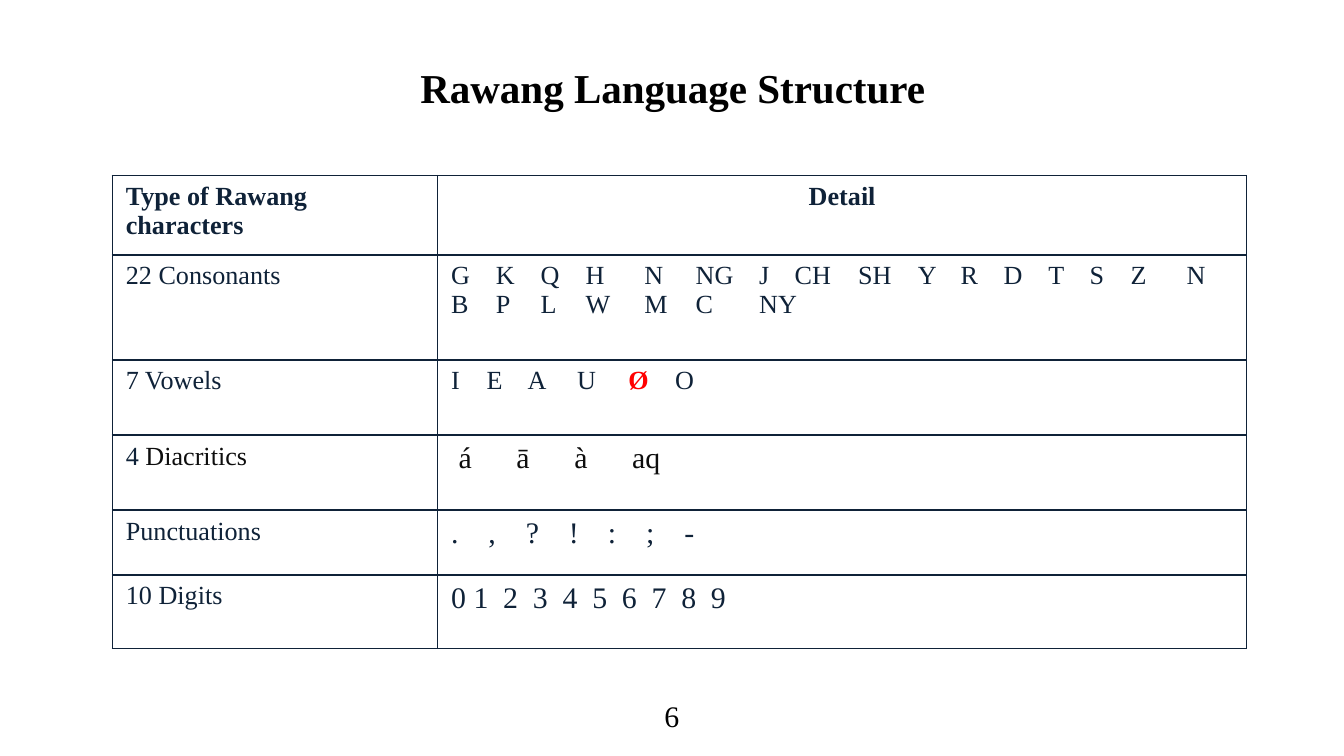
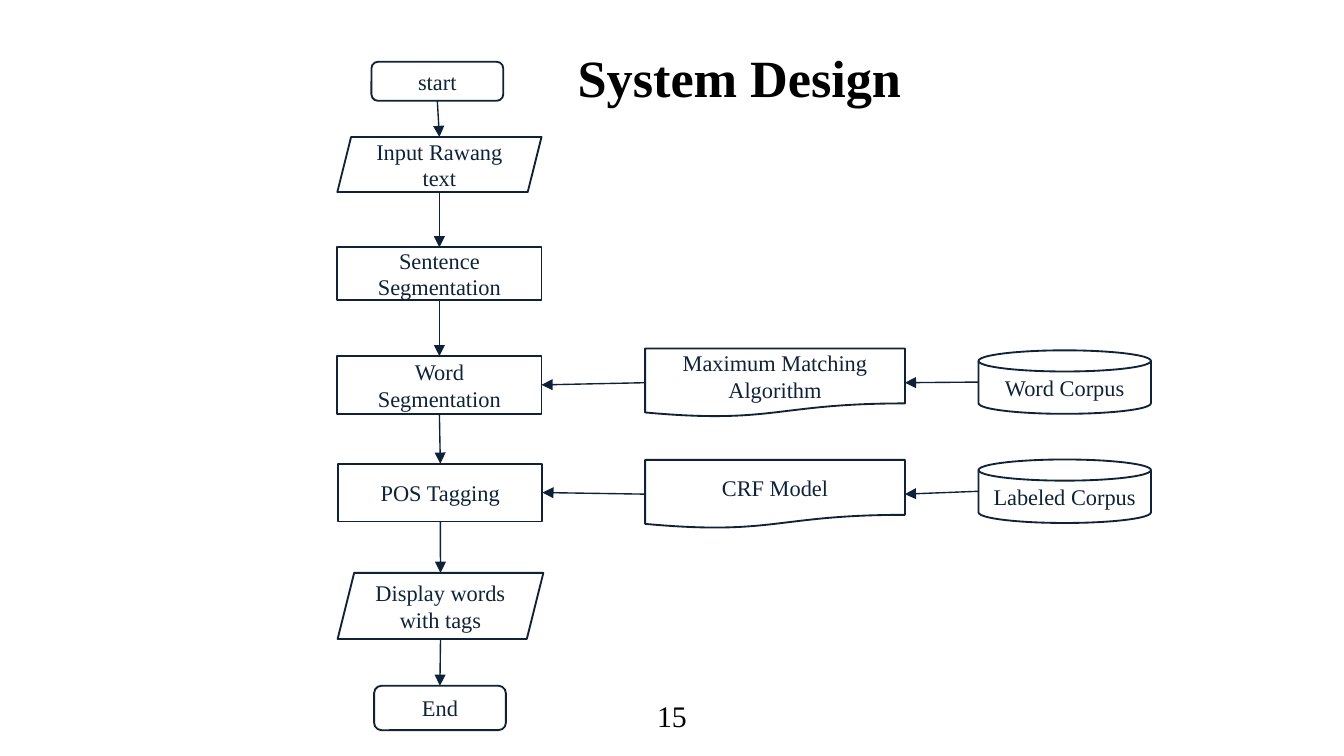
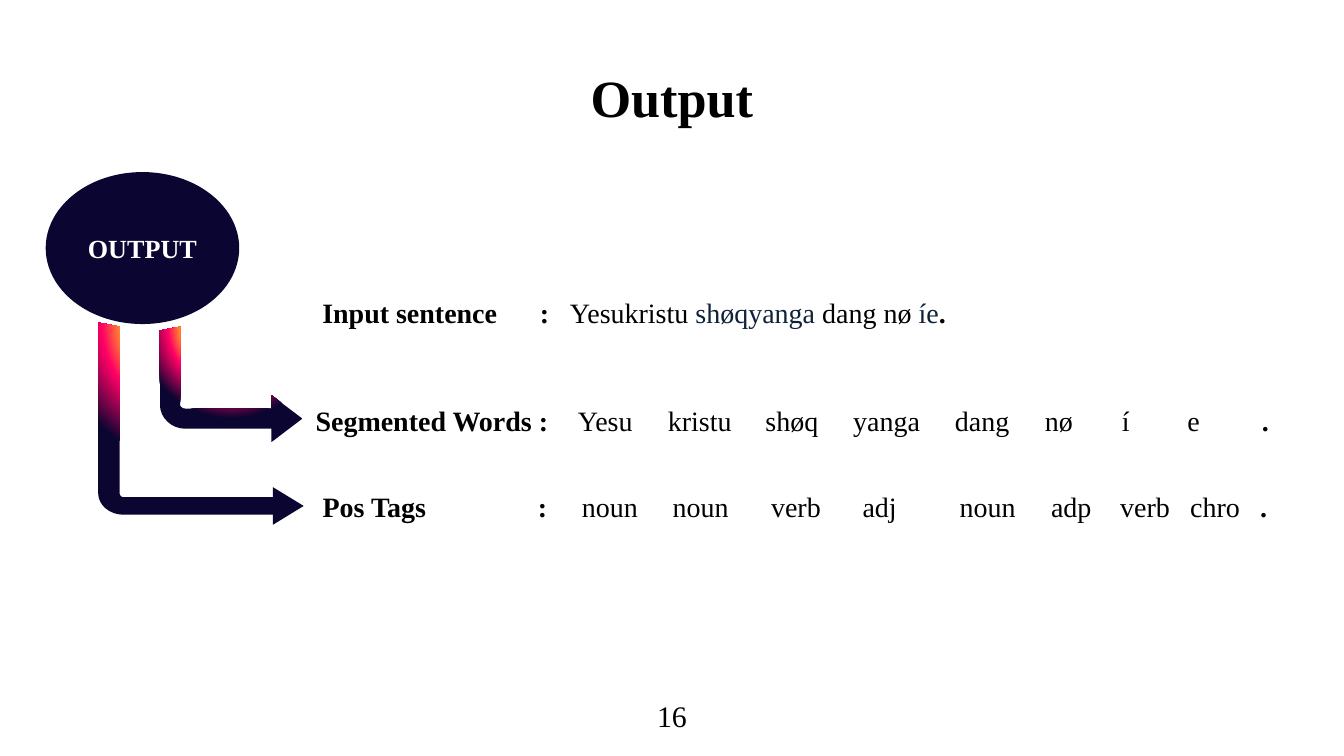
from dataclasses import dataclass
from itertools import pairwise
from math import cos, pi, sin

from lxml import etree
from pptx import Presentation
from pptx import util as u
from pptx.dml.color import RGBColor
from pptx.enum import shapes, text
from pptx.oxml.ns import qn


@dataclass(frozen=True)
class Theme:
    font: str = "Times New Roman"
    ink: str = "0F2238"
    arrow: str = "0E2138"
    black: str = "000000"
    soft_black: str = "0D0D0D"
    white: str = "FFFFFF"
    red: str = "FF0000"
    night: str = "0B0531"
    glow: tuple = ((18, "08A867"), (45, "FFFF00"), (69, "FF0066"), (100, "0B0531"))
    flow_size: int = 12
    body_size: int = 14
    sentence_size: int = 15
    large_size: int = 16
    title_size: int = 28


theme = Theme()
CENTER = text.PP_ALIGN.CENTER
JUSTIFY = text.PP_ALIGN.JUSTIFY
KIND = shapes.MSO_SHAPE


def write(frame, spans, size=theme.body_size, color=theme.ink, bold=False, align=None, tabs=()):
    """Fill the first paragraph; spans is a string or (text, changed format) pairs.

    A span of "\\v" is a line break; tabs are stops in points.
    """
    para = frame.paragraphs[0]
    para.alignment = align
    if tabs:
        stops = etree.SubElement(para._p.get_or_add_pPr(), qn("a:tabLst"))
        for stop in tabs:
            etree.SubElement(stops, qn("a:tab"), pos=str(u.Pt(stop)), algn="l")
    for content, changes in [(spans, {})] if isinstance(spans, str) else spans:
        if content == "\v":
            para.add_line_break()
            continue
        span = para.add_run()
        span.text = content
        span.font.name = theme.font
        span.font.size = u.Pt(size)
        span.font.bold = changes.get("bold", bold)
        span.font.color.rgb = RGBColor.from_string(changes.get("color", color))


def add_text(page, place, spans, wrap=True, inset=3.6, **style):
    box = page.shapes.add_textbox(*map(u.Pt, place))
    box.text_frame.word_wrap = wrap
    box.text_frame.margin_top = box.text_frame.margin_bottom = u.Pt(inset)
    write(box.text_frame, spans, **style)


deck = Presentation()
deck.slide_width, deck.slide_height = u.Pt(720), u.Pt(405)

# Titles and page numbers
pages = []
for title, number, place, style in [
    ("Rawang Language Structure", "6", (175.7, 30.2, 369.4, 33.8), dict(size=22, align=CENTER)),
    ("System Design", "15", (302.4, 17.3, 338.4, 49.7), dict(align=JUSTIFY, inset=7.2)),
    ("Output", "16", (177.8, 31.7, 364.3, 41), dict(align=CENTER)),
]:
    page = deck.slides.add_slide(deck.slide_layouts[6])
    add_text(page, place, title, **{"size": theme.title_size, "color": theme.black, "bold": True, **style})
    width = 14.4 + 8 * len(number)
    add_text(page, (360 - width / 2, 370, width, 26.6), number, wrap=False,
             size=theme.large_size, color=theme.black, align=CENTER)
    pages.append(page)
structure, design, output = pages

# Rawang characters
large = dict(size=theme.large_size)
rows = [
    (42.5, "Type of Rawang characters", "Detail", dict(align=CENTER)),
    (56.2, "22 Consonants", [
        ("G\tK\tQ\tH\tN\tNG\tJ\tCH\tSH\tY\tR\tD\tT\tS\tZ\tN", {}),
        ("\v", {}),
        ("B\tP\tL\tW\tM\tC\tNY", {}),
    ], dict(tabs=(24, 48, 72, 103.5, 131, 165, 184, 218, 250, 273, 296, 320, 342, 364, 394))),
    (40.3, "7 Vowels", [
        ("I\tE\tA\tU\t", {}),
        ("Ø", dict(color=theme.red, bold=True)),
        ("\tO", {}),
    ], dict(tabs=(19, 41, 67.5, 95, 120))),
    (40.3, [("4 ", {}), ("Diacritics", dict(color=theme.soft_black))],
     " á\tā\tà\taq", dict(color=theme.soft_black, tabs=(35, 66, 97), **large)),
    (34.6, "Punctuations", ".\t,\t?\t!\t:\t;\t-",
     dict(tabs=(20, 40, 63, 84, 104.5, 125), **large)),
    (39.6, "10 Digits", "\t".join("0123456789"),
     dict(tabs=[12 + 15.9 * step for step in range(9)], **large)),
]
grid = structure.shapes.add_table(len(rows), 2, *map(u.Pt, (60.2, 94.1, 607.7, 253.5))).table
grid.first_row = grid.horz_banding = False
grid.columns[0].width, grid.columns[1].width = u.Pt(174.3), u.Pt(433.4)
for index, (height, kind, detail, style) in enumerate(rows):
    grid.rows[index].height = u.Pt(height)
    heading = dict(bold=index == 0)
    for cell, spans, changes in zip(grid.rows[index].cells, (kind, detail), ({}, style)):
        write(cell.text_frame, spans, **heading, **changes)
        properties = cell._tc.get_or_add_tcPr()
        for side in ("a:lnL", "a:lnR", "a:lnT", "a:lnB"):
            border = etree.SubElement(properties, qn(side), w=str(u.Pt(1)))
            paint = etree.SubElement(border, qn("a:solidFill"))
            etree.SubElement(paint, qn("a:srgbClr"), val=theme.ink)
        cell.fill.solid()
        cell.fill.fore_color.rgb = RGBColor.from_string(theme.white)

# System flowchart
steps = {}
for name, kind, *place in [
    ("start", KIND.ROUNDED_RECTANGLE, 199, 33.1, 70.6, 20.9),
    ("Input Rawang text", KIND.PARALLELOGRAM, 180.7, 73.4, 109.4, 29.5),
    ("Sentence Segmentation", KIND.RECTANGLE, 180.7, 132.5, 109.4, 28.1),
    ("Word Segmentation", KIND.RECTANGLE, 180.7, 190.8, 109.4, 30.8),
    ("POS Tagging", KIND.RECTANGLE, 181.2, 248.4, 109.4, 31),
    ("Display words with tags", KIND.PARALLELOGRAM, 180.9, 306.9, 110.2, 35.4),
    ("End", KIND.ROUNDED_RECTANGLE, 200.4, 367.4, 70.6, 23.8),
    ("Maximum Matching Algorithm", KIND.FLOWCHART_DOCUMENT, 345.6, 186.7, 139.2, 36.7),
    ("CRF Model", KIND.FLOWCHART_DOCUMENT, 345.6, 246.4, 139.2, 36.7),
    ("Word Corpus", KIND.FLOWCHART_MAGNETIC_DISK, 524.2, 187.7, 92.4, 34),
    ("Labeled Corpus", KIND.FLOWCHART_MAGNETIC_DISK, 524.2, 246.2, 92.4, 34),
]:
    step = design.shapes.add_shape(kind, *map(u.Pt, place))
    step.shadow.inherit = False
    step.fill.solid()
    step.fill.fore_color.rgb = RGBColor.from_string(theme.white)
    step.line.color.rgb = RGBColor.from_string(theme.ink)
    step.line.width = u.Pt(1)
    write(step.text_frame, name, size=theme.flow_size, align=CENTER)
    steps[name] = step

TOP, LEFT, BOTTOM, RIGHT = range(4)
main_flow = list(steps.values())[:7]
links = [(upper, BOTTOM, lower, TOP) for upper, lower in pairwise(main_flow)]
for chain in (("Word Corpus", "Maximum Matching Algorithm", "Word Segmentation"),
              ("Labeled Corpus", "CRF Model", "POS Tagging")):
    links += [(steps[source], LEFT, steps[target], RIGHT) for source, target in pairwise(chain)]
unjoined = (KIND.PARALLELOGRAM, KIND.FLOWCHART_MAGNETIC_DISK)
for source, exit_side, target, entry_side in links:
    ends = []
    for step, side in ((source, exit_side), (target, entry_side)):
        across, down = ((0.5, 0), (0, 0.5), (0.5, 1), (1, 0.5))[side]
        ends += [int(step.left + step.width * across), int(step.top + step.height * down)]
    arrow = design.shapes.add_connector(shapes.MSO_CONNECTOR.STRAIGHT, *ends)
    if source.auto_shape_type not in unjoined:
        arrow.begin_connect(source, exit_side)
    if target.auto_shape_type not in unjoined:
        arrow.end_connect(target, entry_side)
    arrow.line.color.rgb = RGBColor.from_string(theme.arrow)
    arrow.line.width = u.Pt(0.75)
    etree.SubElement(arrow.line._get_or_add_ln(), qn("a:tailEnd"), type="triangle")
    etree.SubElement(arrow._element.spPr, qn("a:effectLst"))

# Output circle
circle = output.shapes.add_shape(KIND.OVAL, *map(u.Pt, (24.5, 92.2, 103.7, 81.4)))
circle.shadow.inherit = False
circle.fill.solid()
circle.fill.fore_color.rgb = RGBColor.from_string(theme.night)
circle.line.fill.background()
write(circle.text_frame, "OUTPUT", color=theme.white, bold=True, align=CENTER)

# Bent arrows: stem sides, bar edges, bend centre, head and the two tail corners
for (left, right), (bar_top, bar_bottom), (bend_x, bend_y), (head_x, tip_x), half_head, tails in [
    ((85.7, 96.5), (218.9, 229.7), (99.4, 216.7), (145.4, 162), 12.6, (177.1, 175)),
    ((52.6, 64.1), (266.4, 275.8), (66.2, 264.2), (146.2, 162.7), 10.1, (172.8, 175)),
]:
    middle = (bar_top + bar_bottom) / 2
    turns = [step * pi / 16 for step in range(9)]
    inner, outer = [
        [(bend_x - (bend_x - side) * cos(turn), bend_y + (edge - bend_y) * sin(turn)) for turn in turns]
        for side, edge in ((right, bar_top), (left, bar_bottom))
    ]
    head = [(head_x, bar_top), (head_x, middle - half_head), (tip_x, middle),
            (head_x, middle + half_head), (head_x, bar_bottom)]
    outline = inner + head + outer[::-1] + [(left, tails[0])]
    builder = output.shapes.build_freeform(u.Pt(right), u.Pt(tails[1]))
    builder.add_line_segments([(u.Pt(x), u.Pt(y)) for x, y in outline], close=True)
    bent_arrow = builder.convert_to_shape()
    bent_arrow.shadow.inherit = False
    bent_arrow.line.fill.background()
    bent_arrow.fill.gradient()
    gradient = bent_arrow._element.spPr.find(qn("a:gradFill"))
    gradient.clear()
    stops = etree.SubElement(gradient, qn("a:gsLst"))
    for position, color in theme.glow:
        stop = etree.SubElement(stops, qn("a:gs"), pos=str(position * 1000))
        etree.SubElement(stop, qn("a:srgbClr"), val=color)
    rings = etree.SubElement(gradient, qn("a:path"), path="circle")
    etree.SubElement(rings, qn("a:fillToRect"), l="50000", t="-80000", r="50000", b="180000")

# Example sentence
strong, tinted = dict(bold=True), dict(color=theme.ink)
for place, spans, tabs in [
    ((162, 212.4, 607, 25.2),
     [("Segmented Words :\t", strong),
      ("Yesu\tkristu\tshøq\tyanga\tdang\tnø\tí\te\t", {}), (".", strong)],
     (140.5, 188.7, 241, 288, 342.5, 390.7, 432, 467, 507)),
    ((162, 258.5, 639.4, 25.2),
     [(" Pos Tags\t:\t", strong),
      ("noun\tnoun\tverb\tadj\tnoun\tadp\tverb\tchro\t", {}), (".", strong)],
     (119, 142.6, 191.3, 244, 293, 345, 394, 431, 468.5, 506)),
    ((165.6, 154.8, 607, 25.2),
     [("Input sentence\t:\t", strong), ("Yesukristu ", {}), ("shøqyanga", tinted),
      (" dang nø ", {}), ("íe", tinted), (".", strong)],
     (116.5, 132.7)),
]:
    add_text(output, place, spans, size=theme.sentence_size, color=theme.black, tabs=tabs)

deck.save("out.pptx")
